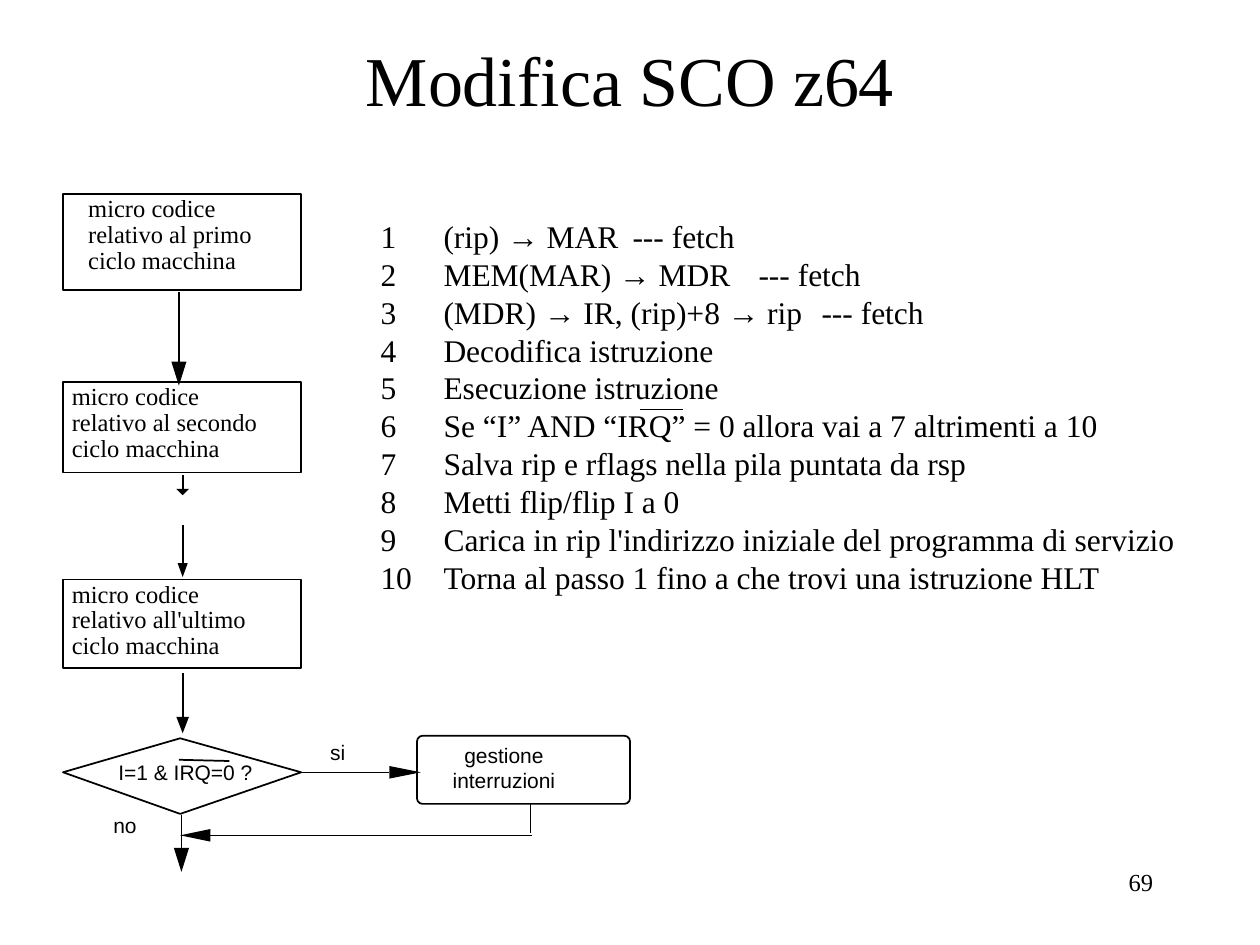
from math import hypot

from lxml.etree import SubElement
from pptx import Presentation
from pptx.dml.color import RGBColor as RGB
from pptx.enum.shapes import MSO_CONNECTOR as Line, MSO_SHAPE as Shape
from pptx.enum.text import MSO_ANCHOR as Anchor, MSO_AUTO_SIZE as Fit, PP_ALIGN as Align
from pptx.oxml.ns import qn
from pptx.util import Inches, Pt

COLORS = {"ink": "000000", "paper": "FFFFFF"}
SERIF, SANS = "Times New Roman", "Arial"
COLS, ROWS = 100, 75


class Board:
    """Style and current slide; lengths are columns and rows of the grid."""

    def __init__(self, prs):
        self.s = prs.slides.add_slide(prs.slide_layouts[1])
        self.cw, self.rh = prs.slide_width / COLS, prs.slide_height / ROWS
        self.ink = RGB.from_string(COLORS["ink"])
        bg = self.s.background.fill
        bg.solid()
        bg.fore_color.rgb = RGB.from_string(COLORS["paper"])

    def pt(self, x, y):
        return round(x * self.cw), round(y * self.rh)

    def set_text(self, sp, lines, size, font=SERIF, align=Align.LEFT, pitch=None,
                 inset=(0, 0, 0, 0), anchor=Anchor.TOP, wrap=True, tabs=()):
        tf = sp.text_frame
        left, top, right, bottom = inset
        frame = {"auto_size": Fit.NONE, "word_wrap": wrap, "vertical_anchor": anchor,
                 "margin_left": round(left * self.cw), "margin_top": round(top * self.rh),
                 "margin_right": round(right * self.cw), "margin_bottom": round(bottom * self.rh)}
        for name, value in frame.items():
            setattr(tf, name, value)
        for i, line in enumerate(lines):
            p = tf.add_paragraph() if i else tf.paragraphs[0]
            if tabs:
                self.tab_stops(p, tabs)
            para = {"alignment": align, "space_before": Pt(0),
                    "line_spacing": Pt(pitch) if pitch else 1.0}
            for name, value in para.items():
                setattr(p, name, value)
            r = p.add_run()
            r.text = line
            for name, value in {"name": font, "size": Pt(size)}.items():
                setattr(r.font, name, value)
            r.font.color.rgb = self.ink

    def tab_stops(self, p, tabs):
        pPr = p._p.get_or_add_pPr()
        pPr.set("marL", "0")
        pPr.set("indent", "0")
        SubElement(pPr, qn("a:buNone"))
        stops = SubElement(pPr, qn("a:tabLst"))
        for tab in tabs:
            SubElement(stops, qn("a:tab"), pos=str(round(tab * self.cw)), algn="l")

    def placeholder(self, index, x, y, w, h, lines, size, **style):
        sp = self.s.placeholders[index]
        sp.left, sp.top = self.pt(x, y)
        sp.width, sp.height = self.pt(w, h)
        self.set_text(sp, lines, size, **style)

    def label(self, x, y, w, h, text, size, **style):
        sp = self.s.shapes.add_textbox(*self.pt(x, y), *self.pt(w, h))
        self.set_text(sp, [text], size, **style)

    def outline(self, sp):
        sp.shadow.inherit = False
        sp.fill.background()
        sp.line.color.rgb = self.ink
        sp.line.width = Pt(1)

    def box(self, x, y, w, h, lines, size, kind=Shape.RECTANGLE, **style):
        sp = self.s.shapes.add_shape(kind, *self.pt(x, y), *self.pt(w, h))
        if kind == Shape.ROUNDED_RECTANGLE:
            sp.adjustments[0] = 0.08
        self.outline(sp)
        self.set_text(sp, lines, size, **style)

    def polygon(self, points, solid=False):
        first, *rest = [self.pt(*point) for point in points]
        fb = self.s.shapes.build_freeform(*first)
        fb.add_line_segments(rest, close=True)
        sp = fb.convert_to_shape()
        self.outline(sp)
        if solid:
            sp.fill.solid()
            sp.fill.fore_color.rgb = self.ink
            sp.line.fill.background()

    def line(self, x1, y1, x2, y2, width=1):
        c = self.s.shapes.add_connector(Line.STRAIGHT, *self.pt(x1, y1), *self.pt(x2, y2))
        c.line.color.rgb = self.ink
        c.line.width = Pt(width)
        SubElement(c._element.spPr, qn("a:effectLst"))

    def arrow(self, x1, y1, x2, y2, length, width):
        """Straight shaft ending in a solid triangle of the given size."""
        d = hypot(x2 - x1, y2 - y1)
        ux, uy = (x2 - x1) / d, (y2 - y1) / d
        bx, by = x2 - ux * length, y2 - uy * length
        nx, ny = -uy * width / 2, ux * width / 2
        self.line(x1, y1, bx, by)
        self.polygon([(x2, y2), (bx + nx, by + ny), (bx - nx, by - ny)], solid=True)


def main():
    prs = Presentation()
    prs.slide_width, prs.slide_height = Inches(10), Inches(7.5)
    b = Board(prs)

    # Title and page number
    b.placeholder(0, 7.5, 0, 85, 12.5, ["Modifica SCO z64"], 40,
                  align=Align.CENTER, anchor=Anchor.MIDDLE)
    b.label(71.7, 68.3, 20.8, 5, "69", 14, align=Align.RIGHT, inset=(1, 0.5, 1, 0.5))

    # Numbered steps: number, operation, comment
    steps = [
        "(rip) → MAR\t--- fetch",
        "MEM(MAR) → MDR\t--- fetch",
        "(MDR) → IR, (rip)+8 → rip\t--- fetch",
        "Decodifica istruzione",
        "Esecuzione istruzione",
        "Se “I” AND “IRQ” = 0 allora vai a 7 altrimenti a 10",
        "Salva rip e rflags nella pila puntata da rsp",
        "Metti flip/flip I a 0",
        "Carica in rip l'indirizzo iniziale del programma di servizio",
        "Torna al passo 1 fino a che trovi una istruzione HLT",
    ]
    b.placeholder(1, 29.2, 16.7, 70.8, 31, [f"{n}\t{step}" for n, step in enumerate(steps, 1)],
                  18, pitch=21.65, inset=(1, 0.5, 1, 0.5), tabs=(6.2, 40))
    b.line(50.8, 32.5, 54.2, 32.5, 0.75)

    # Microcode blocks
    for y, h, indent, which in [(15.4, 7.6, 2, "al primo"), (30.3, 7.2, 0.7, "al secondo"),
                                (46, 7, 0.7, "all'ultimo")]:
        b.box(5, y, 18.9, h, ["micro codice", f"relativo {which}", "ciclo macchina"], 14,
              pitch=14.8, inset=(indent, 0.2, 0, 0))

    # Interrupt test and handler
    b.polygon([(14.3, 58.6), (23.9, 61.3), (14.3, 64.6), (5, 61.3)])
    b.label(9.4, 60.3, 11, 2, "I=1 & IRQ=0 ?", 12, font=SANS, wrap=False)
    b.line(14.2, 60.3, 18.2, 60.4)
    b.label(26.2, 58.7, 2, 2, "si", 12, font=SANS, wrap=False)
    b.label(9, 64.5, 2, 2, "no", 12, font=SANS, wrap=False)
    b.box(33.1, 58.4, 16.9, 5.4, ["gestione", "interruzioni"], 12, Shape.ROUNDED_RECTANGLE,
          font=SANS, align=Align.CENTER, pitch=14.4, inset=(0, 0.4, 3.1, 0))

    # Flow arrows: start, end, head length and width
    for flow in [
        (14.2, 23.2, 14.2, 30.6, 1.9, 1.2),
        (14.5, 37.7, 14.5, 39.3, 0.5, 1),
        (14.5, 41.7, 14.5, 45.8, 1.1, 0.8),
        (14.5, 53.4, 14.5, 58.2, 1.3, 1),
        (23.9, 61.3, 33.4, 61.3, 2.5, 1),
        (14.4, 64.7, 14.4, 69.2, 1.9, 1.2),
        (42.2, 66.3, 14.3, 66.3, 2.4, 1),
    ]:
        b.arrow(*flow)
    b.line(42.1, 63.8, 42.1, 66.1)

    prs.save("out.pptx")


if __name__ == "__main__":
    main()
